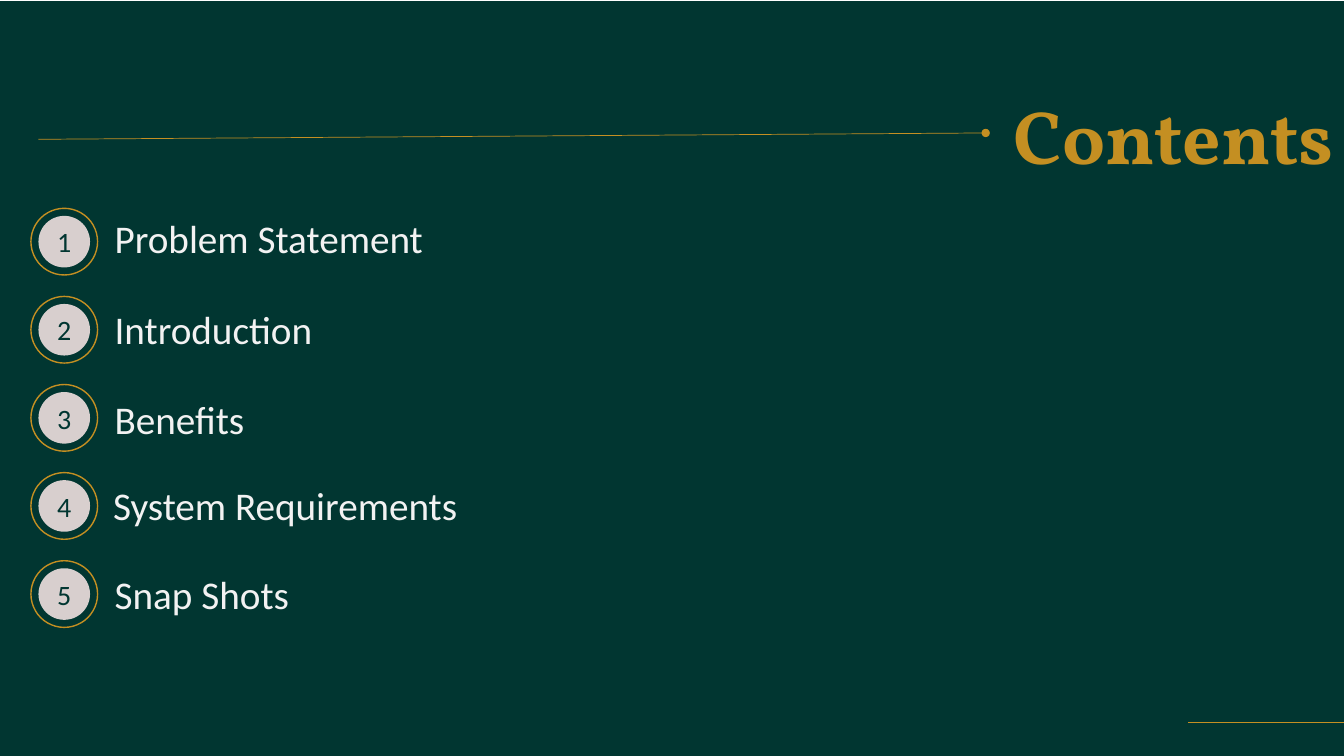
from pptx import Presentation
from pptx.dml.color import RGBColor
from pptx.enum.shapes import MSO_CONNECTOR, MSO_SHAPE
from pptx.enum.text import MSO_ANCHOR, MSO_AUTO_SIZE, PP_ALIGN
from pptx.oxml.ns import qn
from pptx.util import Cm, Pt
from lxml import etree

GREEN = RGBColor(0x01, 0x36, 0x31)
GOLD = RGBColor(0xC4, 0x8F, 0x22)
ROSE = RGBColor(0xD8, 0xCF, 0xCE)
PALE = RGBColor(0xF2, 0xF2, 0xF2)
RECT, OVAL = MSO_SHAPE.RECTANGLE, MSO_SHAPE.OVAL
STRAIGHT = MSO_CONNECTOR.STRAIGHT
LEFT, CENTER = PP_ALIGN.LEFT, PP_ALIGN.CENTER
TOP, MIDDLE = MSO_ANCHOR.TOP, MSO_ANCHOR.MIDDLE
GROW = MSO_AUTO_SIZE.SHAPE_TO_FIT_TEXT

WIDTH, HEIGHT = 33.87, 19.05
RING, DOT = 1.68, 1.3
INSET = (RING - DOT) / 2
RING_LEFT, RING_TOP, PITCH = 0.78, 5.25, 2.22

ITEMS = [
    ("Problem Statement", 2.64, 5.28, 9.53),
    ("Introduction", 2.64, 7.57, 7.24),
    ("Benefits", 2.64, 9.83, 15.75),
    ("System Requirements", 2.6, 12.01, 15.39),
    ("Snap Shots", 2.64, 14.25, 7.37),
]


class Page:
    body, serif = "Calibri", "Vollkorn"

    def __init__(self, slide):
        self.slide = slide

    def text(self, frame, words, size, color, font, align=LEFT, bold=False):
        frame.text = words
        para = frame.paragraphs[0]
        para.alignment = align
        para.font.size = Pt(size)
        para.font.name = font
        para.font.bold = bold
        para.font.color.rgb = color

    def shape(self, home, kind, box, fill=None, edge=None):
        item = home.add_shape(kind, *map(Cm, box))
        item.shadow.inherit = False
        if fill is None:
            item.fill.background()
        else:
            item.fill.solid()
            item.fill.fore_color.rgb = fill
        if edge is None:
            item.line.fill.background()
        else:
            item.line.color.rgb = edge
            item.line.width = Pt(1)
        return item

    def title(self, words, box):
        item = self.slide.shapes.title
        item.left, item.top, item.width, item.height = map(Cm, box)
        frame = item.text_frame
        self.text(frame, words, 54, GOLD, self.serif, bold=True)
        frame.paragraphs[0].line_spacing = 1.0
        frame.margin_left = frame.margin_right = 0
        frame.margin_top = frame.margin_bottom = 0
        frame.vertical_anchor = TOP
        frame.word_wrap = False
        frame.auto_size = GROW

    def panel(self, box):
        item = self.shape(self.slide.shapes, RECT, box, GREEN)
        self.slide.shapes.title.element.addprevious(item.element)

    def line(self, ends, tail=None):
        item = self.slide.shapes.add_connector(STRAIGHT, *map(Cm, ends))
        item.line.color.rgb = GOLD
        item.line.width = Pt(0.5)
        props = item.element.spPr
        if tail:
            stroke = props.find(qn("a:ln"))
            etree.SubElement(stroke, qn("a:tailEnd"), type=tail)
        etree.SubElement(props, qn("a:effectLst"))

    def badge(self, number, left, top):
        home = self.slide.shapes.add_group_shape().shapes
        dot = self.shape(home, OVAL, (left + INSET, top + INSET, DOT, DOT), ROSE)
        self.text(dot.text_frame, str(number), 20, GREEN, self.body, CENTER)
        dot.text_frame.vertical_anchor = MIDDLE
        self.shape(home, OVAL, (left, top, RING, RING), edge=GOLD)

    def label(self, words, left, top, width):
        item = self.slide.shapes.add_textbox(*map(Cm, (left, top, width, 1.45)))
        frame = item.text_frame
        frame.word_wrap = True
        frame.auto_size = GROW
        self.text(frame, words, 28, PALE, self.body)


def main():
    deck = Presentation()
    deck.slide_width, deck.slide_height = Cm(WIDTH), Cm(HEIGHT)
    page = Page(deck.slides.add_slide(deck.slide_layouts[5]))
    page.title("Contents", (25.55, 2.24, 8.3, 2.31))
    page.panel((0, 0.03, WIDTH, HEIGHT - 0.03))
    page.line((WIDTH, 18.21, 29.95, 18.21))
    page.line((0.97, 3.51, 24.84, 3.35), tail="oval")
    for step, (words, left, top, width) in enumerate(ITEMS):
        page.badge(step + 1, RING_LEFT, RING_TOP + step * PITCH)
        page.label(words, left, top, width)
    deck.save("out.pptx")


if __name__ == "__main__":
    main()
